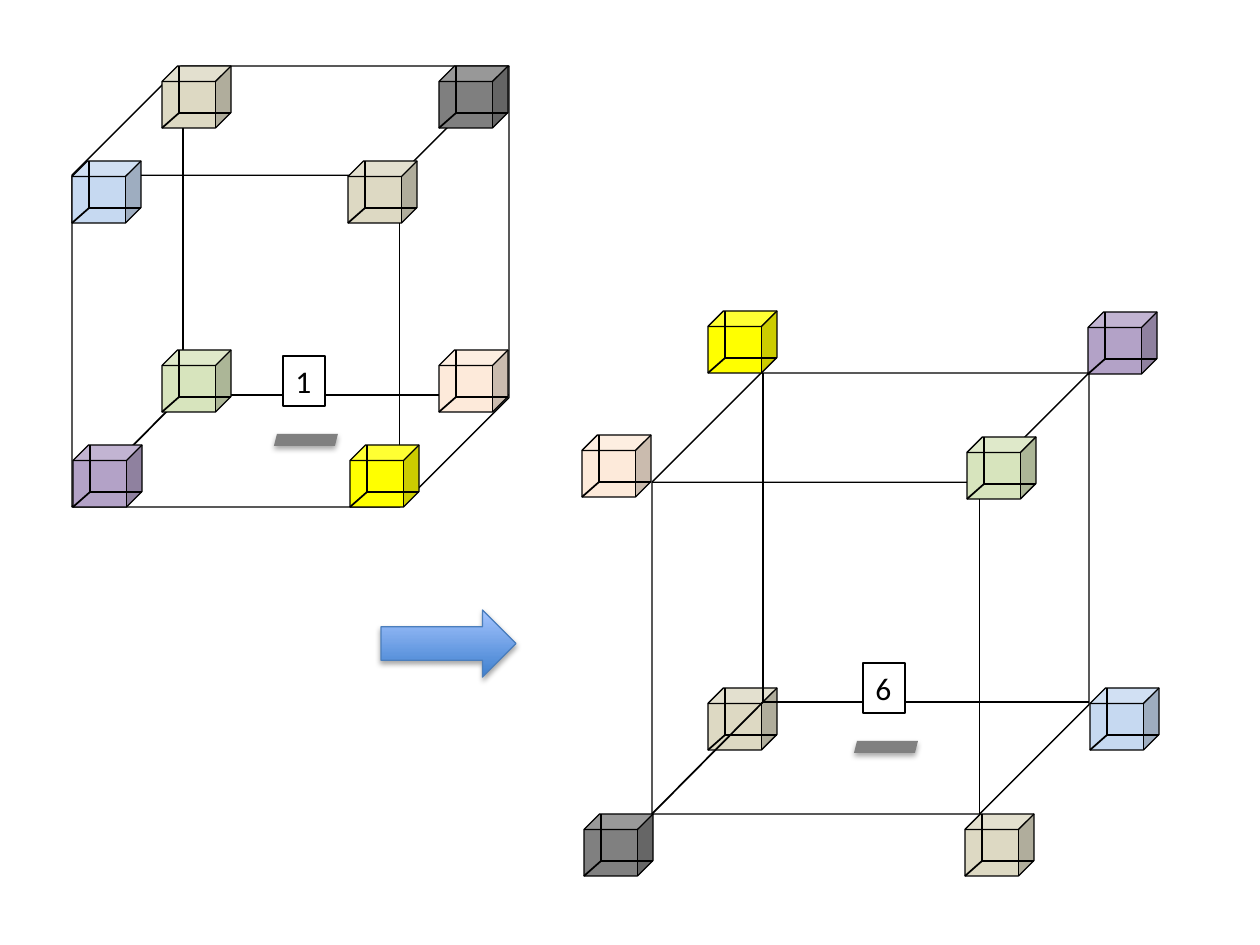
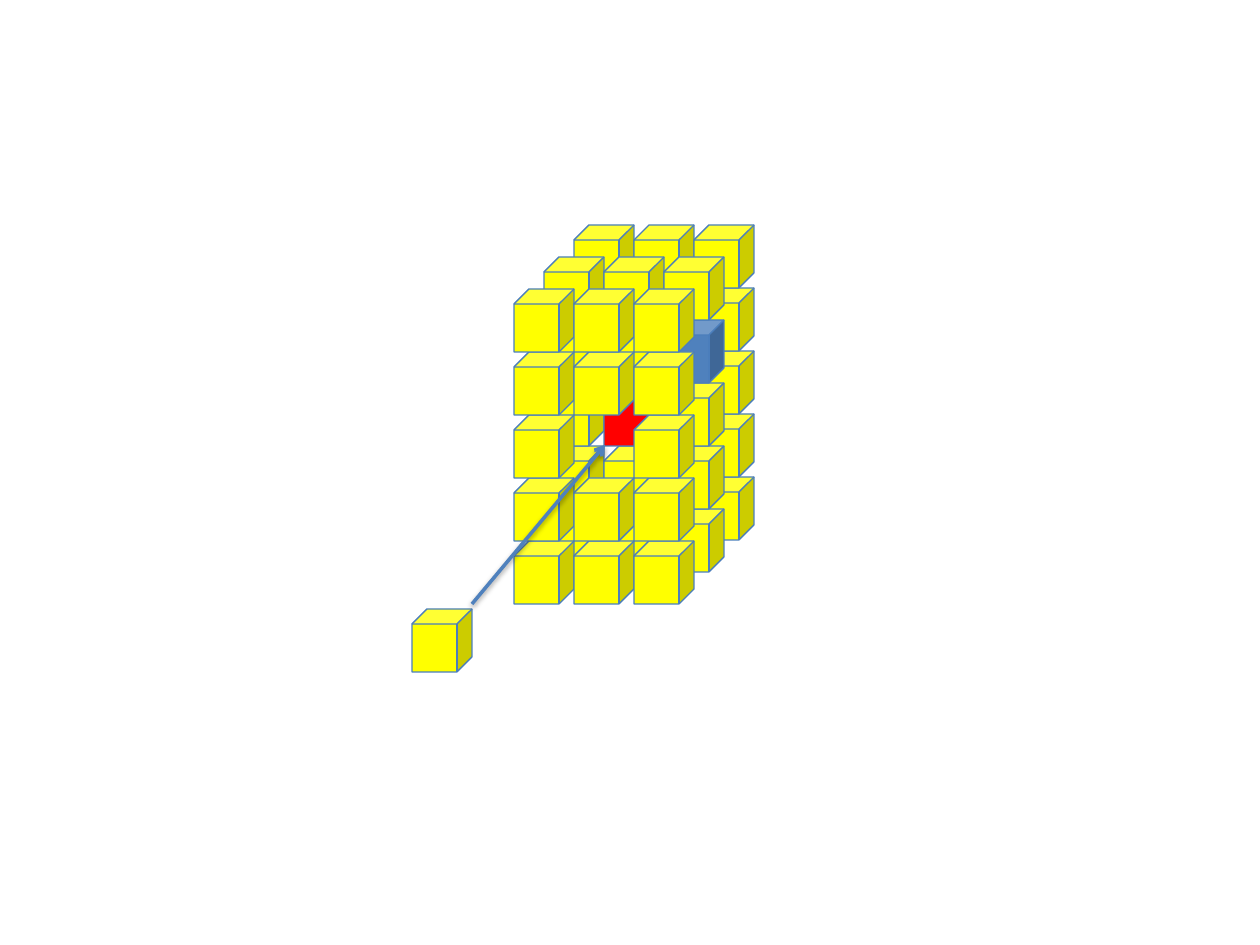
import itertools

import pptx
import pptx.dml.color
import pptx.enum.shapes
import pptx.enum.text
import pptx.oxml.ns
import pptx.util
from lxml import etree

RGB = pptx.dml.color.RGBColor
SHAPE = pptx.enum.shapes.MSO_SHAPE
qn = pptx.oxml.ns.qn

SCALE = 914400 / 126
WIDE, HIGH = 1260, 945

BLACK = RGB(0x00, 0x00, 0x00)
WHITE = RGB(0xFF, 0xFF, 0xFF)
GRAY = RGB(0x80, 0x80, 0x80)
DARK = RGB(0x7F, 0x7F, 0x7F)
TAN = RGB(0xDD, 0xD9, 0xC3)
PURPLE = RGB(0xB3, 0xA2, 0xC7)
SKY = RGB(0xC6, 0xD9, 0xF1)
GREEN = RGB(0xD7, 0xE4, 0xBD)
PEACH = RGB(0xFD, 0xEA, 0xDA)
YELLOW = RGB(0xFF, 0xFF, 0x00)
RED = RGB(0xFF, 0x00, 0x00)
BLUE = RGB(0x4F, 0x81, 0xBD)
EDGE = RGB(0x4B, 0x7E, 0xBC)
DEEP = RGB(0x3F, 0x80, 0xCE)
LIGHT = RGB(0xA4, 0xC4, 0xFF)

SMALL = (69, 62, 17, 47)     # width, height, inner corner x and y
LARGE = (437, 441, 111, 329)


def px(size):
    """Turn pixels into EMU."""
    return pptx.util.Emu(round(size * SCALE))


def shade(shape, alpha=None, dist=23000):
    """Give a shape a soft shadow below it, or none without alpha."""
    props = shape._element.spPr
    for old in props.findall(qn("a:effectLst")):
        props.remove(old)
    effect = etree.SubElement(props, qn("a:effectLst"))
    if alpha:
        outer = etree.SubElement(effect, qn("a:outerShdw"), blurRad="40000",
                                 dist=str(dist), dir="5400000", rotWithShape="0")
        color = etree.SubElement(outer, qn("a:srgbClr"), val=str(BLACK))
        etree.SubElement(color, qn("a:alpha"), val=str(alpha * 1000))


class Deck:
    """The presentation, its style and the current slide."""

    def __init__(self):
        """Start an empty deck of the right size."""
        self.show = pptx.Presentation()
        self.show.slide_width, self.show.slide_height = px(WIDE), px(HIGH)

    def page(self):
        """Add a blank slide and draw on it."""
        self.slide = self.show.slides.add_slide(self.show.slide_layouts[6])
        self.shapes = self.slide.shapes

    def shape(self, kind, box, fill=None, line=None, home=None):
        """Add a preset shape to the slide or to a group."""
        home = self.shapes if home is None else home
        item = home.add_shape(kind, *map(px, box))
        if fill is None:
            item.fill.background()
        else:
            item.fill.solid()
            item.fill.fore_color.rgb = fill
        if line is None:
            item.line.fill.background()
        else:
            item.line.color.rgb = line
            item.line.width = pptx.util.Pt(0.75)
        shade(item)
        return item

    def line(self, start, end, color=BLACK, width=1, home=None):
        """Add a straight line to the slide or to a group."""
        home = self.shapes if home is None else home
        item = home.add_connector(pptx.enum.shapes.MSO_CONNECTOR.STRAIGHT,
                                  *map(px, start + end))
        item.line.color.rgb = color
        item.line.width = pptx.util.Pt(width)
        shade(item)
        return item

    def frame(self, x, y, fill=None, size=SMALL):
        """Add a cube whose three hidden edges show."""
        wide, high, dx, dy = size
        home = self.shapes.add_group_shape().shapes
        self.shape(SHAPE.CUBE, (x, y, wide, high), fill, BLACK, home)
        inner = (x + dx, y + dy)
        for end in ((x, y + high), (x + dx, y), (x + wide, y + dy)):
            self.line(inner, end, home=home)

    def label(self, x, y, text):
        """Add a boxed number with a slanted tile below it."""
        home = self.shapes.add_group_shape().shapes
        box = home.add_textbox(*map(px, (x, y, 42, 50)))
        box.fill.solid()
        box.fill.fore_color.rgb = WHITE
        box.line.color.rgb = BLACK
        box.line.width = pptx.util.Pt(0.75)
        frame = box.text_frame
        frame.word_wrap = False
        frame.auto_size = pptx.enum.text.MSO_AUTO_SIZE.SHAPE_TO_FIT_TEXT
        frame.text = text
        font = frame.paragraphs[0].font
        font.name, font.size = "Calibri", pptx.util.Pt(18)
        font.color.rgb = BLACK
        tile = self.shape(SHAPE.PARALLELOGRAM, (x - 9, y + 78, 64, 12), GRAY, home=home)
        shade(tile, 35)

    def block(self, x, y, fill=YELLOW):
        """Add a solid cube of the stack."""
        self.shape(SHAPE.CUBE, (x, y, 60, 63), fill, EDGE)

    def arrow(self, box):
        """Add a block arrow that fades from light to deep blue."""
        item = self.shape(SHAPE.RIGHT_ARROW, box, DEEP, EDGE)
        item.fill.gradient()
        item.fill.gradient_angle = 90
        for stop, color in zip(item.fill.gradient_stops, (DEEP, LIGHT)):
            stop.color.rgb = color
        shade(item, 35)

    def point(self, start, end):
        """Add a line with an open arrowhead at its end."""
        item = self.line(start, end, BLUE, 2)
        etree.SubElement(item._element.spPr.find(qn("a:ln")), qn("a:tailEnd"), type="arrow")
        shade(item, 38, 20000)


def turn(deck):
    """Draw the marked cube before and after its turn."""
    deck.page()
    deck.frame(708, 688, TAN)
    before = ((73, 445, PURPLE), (72, 161, SKY), (162, 66, TAN), (162, 350, GREEN),
              (350, 445, YELLOW), (348, 161, TAN), (439, 66, DARK), (439, 350, PEACH))
    after = ((584, 814, GRAY), (582, 435, PEACH), (708, 311, YELLOW), (965, 814, TAN),
             (967, 437, GREEN), (1088, 312, PURPLE), (1090, 688, SKY))
    for corner, cubes, spot, text in (((72, 66), before, (283, 356), "1"),
                                      ((652, 373), after, (863, 663), "6")):
        deck.frame(*corner, size=LARGE)
        for cube in cubes:
            deck.frame(*cube)
        deck.label(*spot, text)
    deck.arrow((381, 610, 135, 67))


def stack(deck):
    """Draw the stack of blocks with one block taken out."""
    deck.page()
    marks = {(1, 1, 2): RED, (1, 2, 1): BLUE}
    for cell in itertools.product(range(3), range(3), range(4, -1, -1)):
        layer, col, row = cell
        inside = layer == 0 and col < 2 and row > 0
        if not inside and cell != (2, 1, 2):
            deck.block(574 - 30 * layer + 60 * col, 225 + 32 * layer + 63 * row,
                       marks.get(cell, YELLOW))
    deck.block(412, 609)
    deck.point((472, 604), (605, 445))


deck = Deck()
turn(deck)
stack(deck)
deck.show.save("out.pptx")
